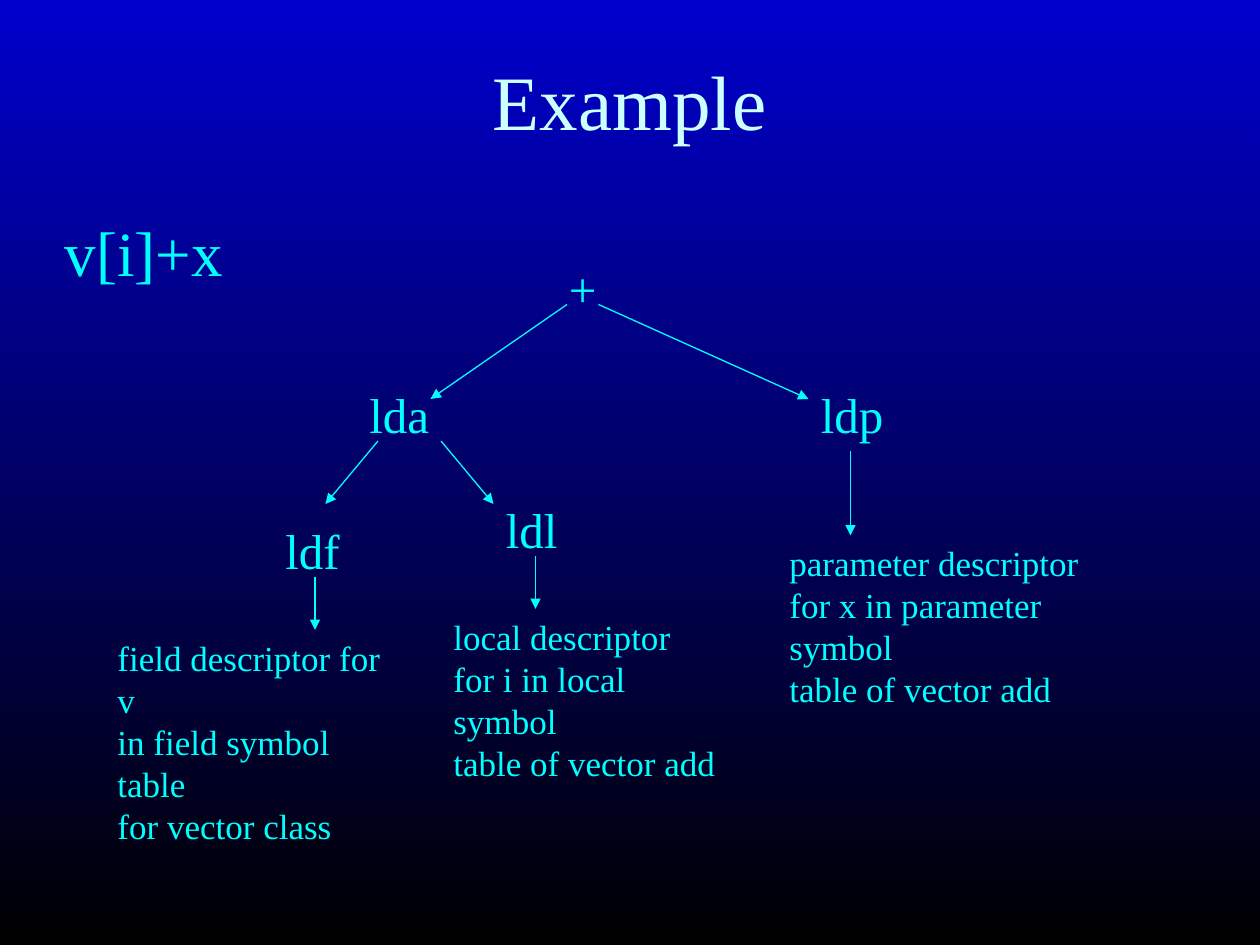
from typing import NamedTuple

from pptx import Presentation
from pptx import util as u
from pptx.dml.color import RGBColor
from pptx.enum import shapes, text
from pptx.oxml.ns import qn
from lxml import etree

PX = 7620  # 120 px to the inch
FONT = "Times New Roman"
CYAN = "00FFFF"
PALE = "CCFFFF"


class Label(NamedTuple):
    x: int
    y: int
    w: int
    h: int
    lines: tuple[str, ...]
    size: int = 28
    wrap: bool = False


class Arrow(NamedTuple):
    x1: int
    y1: int
    x2: int
    y2: int


# Expression, tree nodes and descriptor notes
LABELS = [
    Label(50, 197, 1100, 633, ("v[i]+x",), 36, True),
    Label(530, 240, 50, 68, ("+",)),
    Label(340, 360, 82, 68, ("lda",)),
    Label(770, 360, 84, 68, ("ldp",)),
    Label(260, 490, 76, 68, ("ldf",)),
    Label(470, 470, 73, 68, ("ldl",)),
    Label(100, 600, 296, 132, ("field descriptor for v",
                               "in field symbol table",
                               "for vector class"), 20, True),
    Label(420, 580, 291, 132, ("local descriptor",
                               "for i in local symbol",
                               "table of vector add"), 20, True),
    Label(740, 510, 366, 132, ("parameter descriptor",
                               "for x in parameter symbol",
                               "table of vector add"), 20, True),
]

ARROWS = [
    Arrow(540, 290, 410, 380),  # + to lda
    Arrow(570, 290, 770, 380),  # + to ldp
    Arrow(360, 420, 310, 480),  # lda to ldf
    Arrow(420, 420, 470, 480),  # lda to ldl
    Arrow(300, 550, 300, 600),  # nodes to their notes
    Arrow(510, 530, 510, 580),
    Arrow(810, 430, 810, 510),
]


def px(*vals: int) -> list[u.Emu]:
    return [u.Emu(v * PX) for v in vals]


def color(code: str) -> RGBColor:
    return RGBColor.from_string(code)


def write(frame, lines: tuple[str, ...], *, size: int, hue: str = CYAN,
          align=text.PP_ALIGN.LEFT, anchor=text.MSO_ANCHOR.TOP,
          wrap: bool = True) -> None:
    frame.word_wrap = wrap
    frame.vertical_anchor = anchor
    for i, line in enumerate(lines):
        par = frame.add_paragraph() if i else frame.paragraphs[0]
        par.alignment = align
        run = par.add_run()
        run.text = line
        run.font.name = FONT
        run.font.size = u.Pt(size)
        run.font.color.rgb = color(hue)


def draw_label(slide, lab: Label) -> None:
    box = slide.shapes.add_textbox(*px(lab.x, lab.y, lab.w, lab.h))
    write(box.text_frame, lab.lines, size=lab.size, wrap=lab.wrap)
    if not lab.wrap:
        box.text_frame.auto_size = text.MSO_AUTO_SIZE.SHAPE_TO_FIT_TEXT


def draw_arrow(slide, arr: Arrow) -> None:
    link = slide.shapes.add_connector(shapes.MSO_CONNECTOR.STRAIGHT, *px(*arr))
    link.line.color.rgb = color(CYAN)
    link.line.width = u.Pt(0.75)
    etree.SubElement(link.line._get_or_add_ln(), qn("a:tailEnd"),
                     type="triangle")
    etree.SubElement(link._element.spPr, qn("a:effectLst"))


def paint(slide) -> None:
    fill = slide.background.fill
    fill.gradient()
    fill.gradient_angle = 270
    for stop, pos, hue in zip(fill.gradient_stops, (0, 1),
                              ("0000CC", "000000")):
        stop.position = pos
        stop.color.rgb = color(hue)


def main() -> None:
    deck = Presentation()
    deck.slide_width, deck.slide_height = px(1200, 900)
    slide = deck.slides.add_slide(deck.slide_layouts[5])
    paint(slide)

    # Title
    head = slide.shapes.title
    head.left, head.top, head.width, head.height = px(50, 20, 1100, 150)
    write(head.text_frame, ("Example",), size=44, hue=PALE,
          align=text.PP_ALIGN.CENTER, anchor=text.MSO_ANCHOR.MIDDLE)

    # Tree
    for lab in LABELS:
        draw_label(slide, lab)
    for arr in ARROWS:
        draw_arrow(slide, arr)
    deck.save("out.pptx")


if __name__ == "__main__":
    main()
